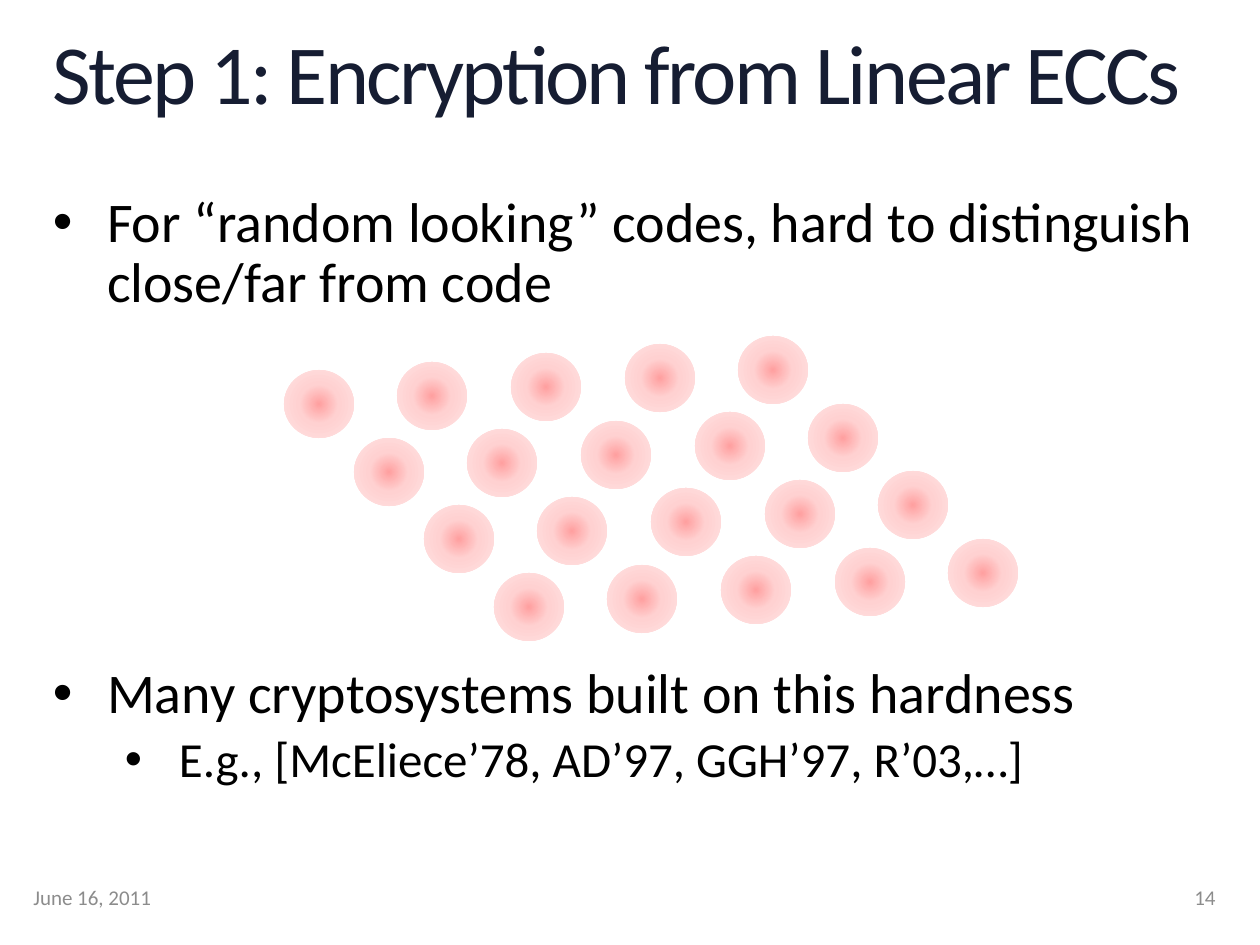
import itertools

import pptx
import pptx.dml.color
import pptx.enum.shapes
import pptx.enum.text
import pptx.oxml
import pptx.oxml.ns
import pptx.util

Align = pptx.enum.text.PP_ALIGN
Anchor = pptx.enum.text.MSO_ANCHOR
NAMESPACE = pptx.oxml.ns.nsdecls("a")
qn = pptx.oxml.ns.qn

TITLE_STOPS = [(0, "2E59B0"), (49, "161D32"), (100, "000000")]
BALL_STOPS = [(0, "FFA0A0"), (40, "FFD1D1"), (100, "FFE3E3")]
BULLETS = [
    ("For “random looking” codes, hard to distinguish close/far from code", 0, 32, 0),
    ("Many cryptosystems built on this hardness", 0, 32, 200),
    ("E.g., [McEliece’78, AD’97, GGH’97, R’03,…]", 1, 28, 5.6),
]


def px(length):
    return pptx.util.Emu(round(length * 914400 / 126))


def color(code):
    return pptx.dml.color.RGBColor.from_string(code)


def xml(body):
    tag, rest = body.split(" ", 1)
    return pptx.oxml.parse_xml(f"<a:{tag} {NAMESPACE} {rest}")


def set_gradient(fill, holder, stops, direction):
    fill.gradient()
    gradient = holder.find(qn("a:gradFill"))
    for child in list(gradient):
        gradient.remove(child)
    marks = "".join(
        f'<a:gs pos="{position * 1000}"><a:srgbClr val="{code}"/></a:gs>'
        for position, code in stops
    )
    gradient.append(xml(f"gsLst >{marks}</a:gsLst>"))
    gradient.append(xml(direction))


class SlideBuilder:
    """Hold the text style and the current slide, and add elements to it."""

    def __init__(self, page, font="Calibri"):
        self.page = page
        self.font = font

    def place(self, box, left, top, width, height):
        box.left, box.top, box.width, box.height = map(px, (left, top, width, height))

    def prepare_frame(self, frame):
        frame.margin_left = frame.margin_top = 0
        frame.margin_right = frame.margin_bottom = 0
        frame.vertical_anchor = Anchor.TOP
        frame.auto_size = pptx.enum.text.MSO_AUTO_SIZE.SHAPE_TO_FIT_TEXT

    def style(self, para, size, code):
        for span in para.runs:
            span.font.name = self.font
            span.font.size = pptx.util.Pt(size)
            span.font.color.rgb = color(code)

    def title(self, text, *place):
        box = self.page.shapes.title
        self.place(box, *place)
        self.prepare_frame(box.text_frame)
        box.text_frame.text = text
        para = box.text_frame.paragraphs[0]
        para.alignment = Align.LEFT
        para.line_spacing = 0.9
        self.style(para, 48, "161D32")
        span = para.runs[0]
        properties = span.font._element
        properties.set("spc", "-150")
        set_gradient(span.font.fill, properties, TITLE_STOPS, 'lin ang="5400000" scaled="0"/>')

    def bullets(self, items, *place):
        box = self.page.placeholders[1]
        self.place(box, *place)
        frame = box.text_frame
        self.prepare_frame(frame)
        frame.text = "\n".join(item[0] for item in items)
        for para, (_, level, size, before) in zip(frame.paragraphs, items):
            properties = para._p.get_or_add_pPr()
            properties.append(xml('buChar char="•"/>'))
            properties.set("marL", str(px(126 if level else 54)))
            properties.set("indent", str(px(-54)))
            para.level = level
            para.line_spacing = 0.9
            para.space_before = pptx.util.Pt(before)
            self.style(para, size, "000000")

    def footer(self, text, align, *place):
        box = self.page.shapes.add_textbox(*map(px, place))
        frame = box.text_frame
        frame.word_wrap = True
        frame.vertical_anchor = Anchor.MIDDLE
        frame.text = text
        frame.paragraphs[0].alignment = align
        self.style(frame.paragraphs[0], 12, "8C8C8C")

    def ball(self, group, left, top):
        oval = pptx.enum.shapes.MSO_SHAPE.OVAL
        ball = group.shapes.add_shape(oval, px(left), px(top), px(70), px(68))
        ball.shadow.inherit = False
        ball.line.fill.background()
        set_gradient(
            ball.fill, ball._element.spPr, BALL_STOPS,
            'path path="circle"><a:fillToRect l="50000" t="50000" r="50000" b="50000"/></a:path>',
        )

    def lattice(self, rows, columns):
        group = self.page.shapes.add_group_shape()
        for row, column in itertools.product(range(rows), range(columns)):
            left = round(283.5 + 70 * row + 113.75 * column)
            top = round(370 + 67.7 * row - 8.5 * column)
            self.ball(group, left, top)


def main():
    deck = pptx.Presentation()
    deck.slide_width, deck.slide_height = px(1260), px(945)
    builder = SlideBuilder(deck.slides.add_slide(deck.slide_layouts[1]))
    builder.title("Step 1: Encryption from Linear ECCs", 53, 32, 1155, 92)
    builder.bullets(BULLETS, 53, 194, 1155, 602)
    builder.footer("June 16, 2011", Align.LEFT, 21, 872, 294, 50)
    builder.footer("14", Align.RIGHT, 1144, 872, 84, 50)
    builder.lattice(rows=4, columns=5)
    deck.save("out.pptx")


if __name__ == "__main__":
    main()
